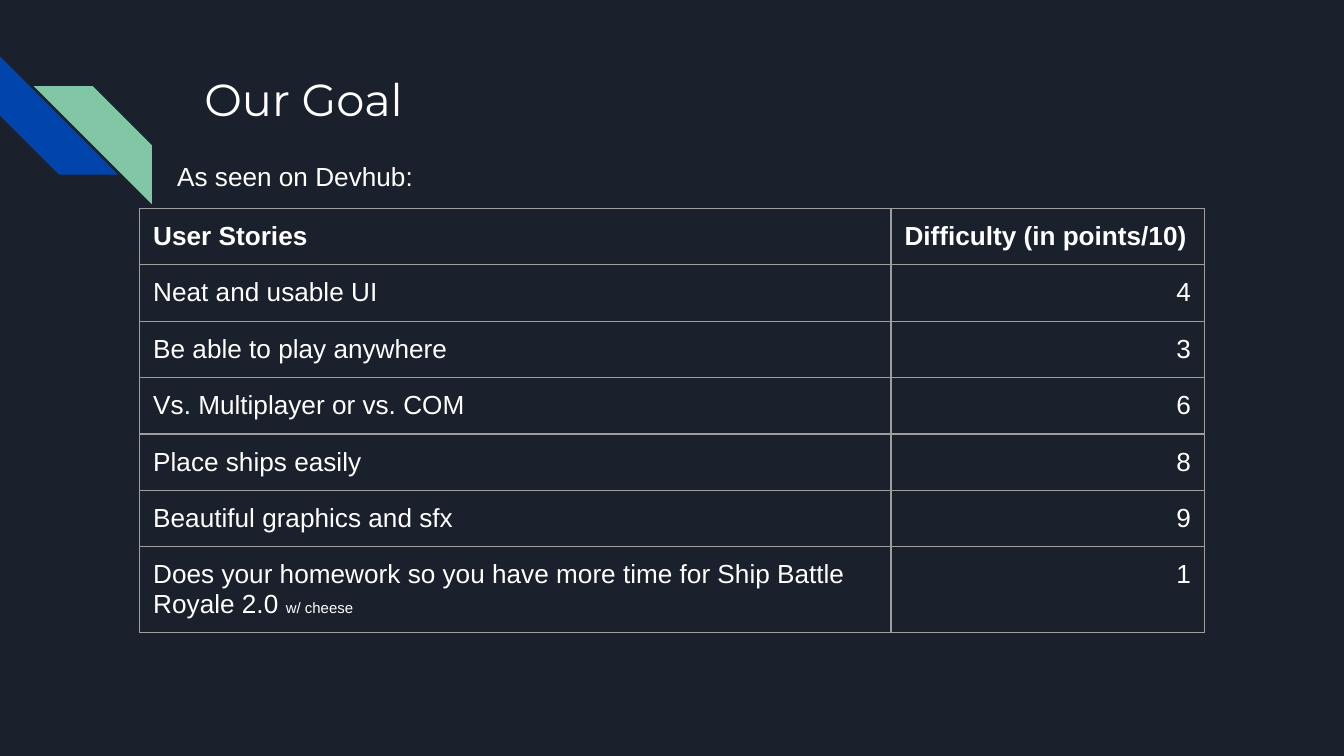
from pptx import Presentation
from pptx.dml.color import RGBColor
from pptx.enum.shapes import MSO_SHAPE
from pptx.enum.text import MSO_ANCHOR, PP_ALIGN
from pptx.oxml import parse_xml
from pptx.oxml.ns import nsdecls
from pptx.util import Inches, Pt

BACKGROUND, BLUE, GREEN = "1B212C", "0145AC", "82C7A5"
WHITE, GRID = "FFFFFF", "9E9E9E"

HEADINGS = ["User Stories", "Difficulty (in points/10)"]
STORIES = [
    ("Neat and usable UI", "4"),
    ("Be able to play anywhere", "3"),
    ("Vs. Multiplayer or vs. COM", "6"),
    ("Place ships easily", "8"),
    ("Beautiful graphics and sfx", "9"),
    ("Does your homework so you have more time for Ship Battle Royale 2.0 ", "1"),
]
COLUMN_WIDTHS = [5.59, 2.33]
ROW_HEIGHT = 0.42


def color(hex_value):
    return RGBColor.from_string(hex_value)


def add_text(paragraph, text, size=14, font="Arial", bold=False, align=PP_ALIGN.LEFT):
    paragraph.alignment = align
    run = paragraph.add_run()
    run.text = text
    run.font.size = Pt(size)
    run.font.name = font
    run.font.bold = bold
    run.font.color.rgb = color(WHITE)


def set_margins(holder):
    holder.margin_left = holder.margin_right = Inches(0.1)
    holder.margin_top = holder.margin_bottom = Inches(0.1)


def set_frame(frame):
    frame.word_wrap = True
    frame.vertical_anchor = MSO_ANCHOR.TOP
    set_margins(frame)


def add_stripe(slide, left, top, rotation, fill):
    stripe = slide.shapes.add_shape(
        MSO_SHAPE.DIAGONAL_STRIPE, Inches(left), Inches(top), Inches(0.88), Inches(0.88))
    stripe.rotation = rotation
    stripe.shadow.inherit = False
    stripe.fill.solid()
    stripe.fill.fore_color.rgb = color(fill)
    stripe.line.fill.background()


def add_title(slide, text):
    title = slide.shapes.title
    title.left, title.top = Inches(1.42), Inches(0.43)
    title.width, title.height = Inches(7.7), Inches(1)
    set_frame(title.text_frame)
    add_text(title.text_frame.paragraphs[0], text, size=24, font="Montserrat")


def add_caption(slide, text):
    caption = slide.shapes.add_textbox(Inches(1.22), Inches(1.09), Inches(8.1), Inches(0.75))
    set_frame(caption.text_frame)
    add_text(caption.text_frame.paragraphs[0], text)


def format_cell(cell):
    set_margins(cell)
    # Borders come before the fill in the cell properties
    properties = cell._tc.get_or_add_tcPr()
    for side in ("lnL", "lnR", "lnT", "lnB"):
        properties.append(parse_xml(
            f'<a:{side} {nsdecls("a")} w="{Pt(0.75)}"><a:solidFill>'
            f'<a:srgbClr val="{GRID}"/></a:solidFill></a:{side}>'))
    cell.fill.background()


def add_story_table(slide):
    rows = [HEADINGS, *STORIES]
    table = slide.shapes.add_table(
        len(rows), len(HEADINGS), Inches(1.04), Inches(1.55),
        Inches(sum(COLUMN_WIDTHS)), Inches(ROW_HEIGHT * len(rows))).table
    table.first_row = table.horz_banding = False
    for column, width in zip(table.columns, COLUMN_WIDTHS):
        column.width = Inches(width)
    for row_index, row in enumerate(rows):
        table.rows[row_index].height = Inches(ROW_HEIGHT)
        is_heading = row_index == 0
        for column_index, text in enumerate(row):
            cell = table.cell(row_index, column_index)
            format_cell(cell)
            is_score = column_index == 1 and not is_heading
            add_text(cell.text_frame.paragraphs[0], text, bold=is_heading,
                     align=PP_ALIGN.RIGHT if is_score else PP_ALIGN.LEFT)
    # Small aside after the last story
    last_story = table.cell(len(rows) - 1, 0)
    add_text(last_story.text_frame.paragraphs[0], "w/ cheese", size=8)


def main():
    # Widescreen page, 16:9
    presentation = Presentation()
    presentation.slide_width = Inches(10)
    presentation.slide_height = Inches(10 * 9 / 16)
    slide = presentation.slides.add_slide(presentation.slide_layouts[5])
    slide.background.fill.solid()
    slide.background.fill.fore_color.rgb = color(BACKGROUND)

    # Corner decoration
    add_stripe(slide, 0, 0.42, 270, BLUE)
    add_stripe(slide, 0.25, 0.64, 90, GREEN)

    # Content
    add_title(slide, "Our Goal")
    add_story_table(slide)
    add_caption(slide, "As seen on Devhub:")
    presentation.save("out.pptx")


if __name__ == "__main__":
    main()
